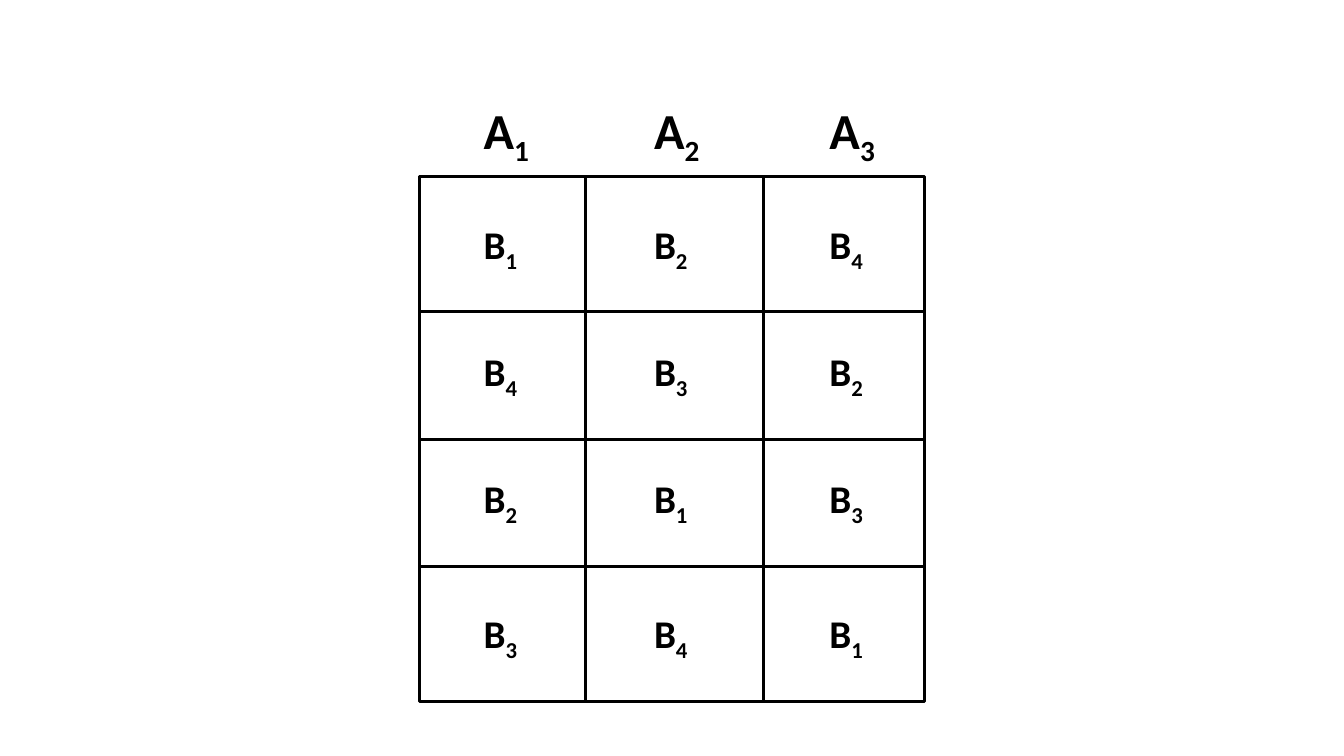
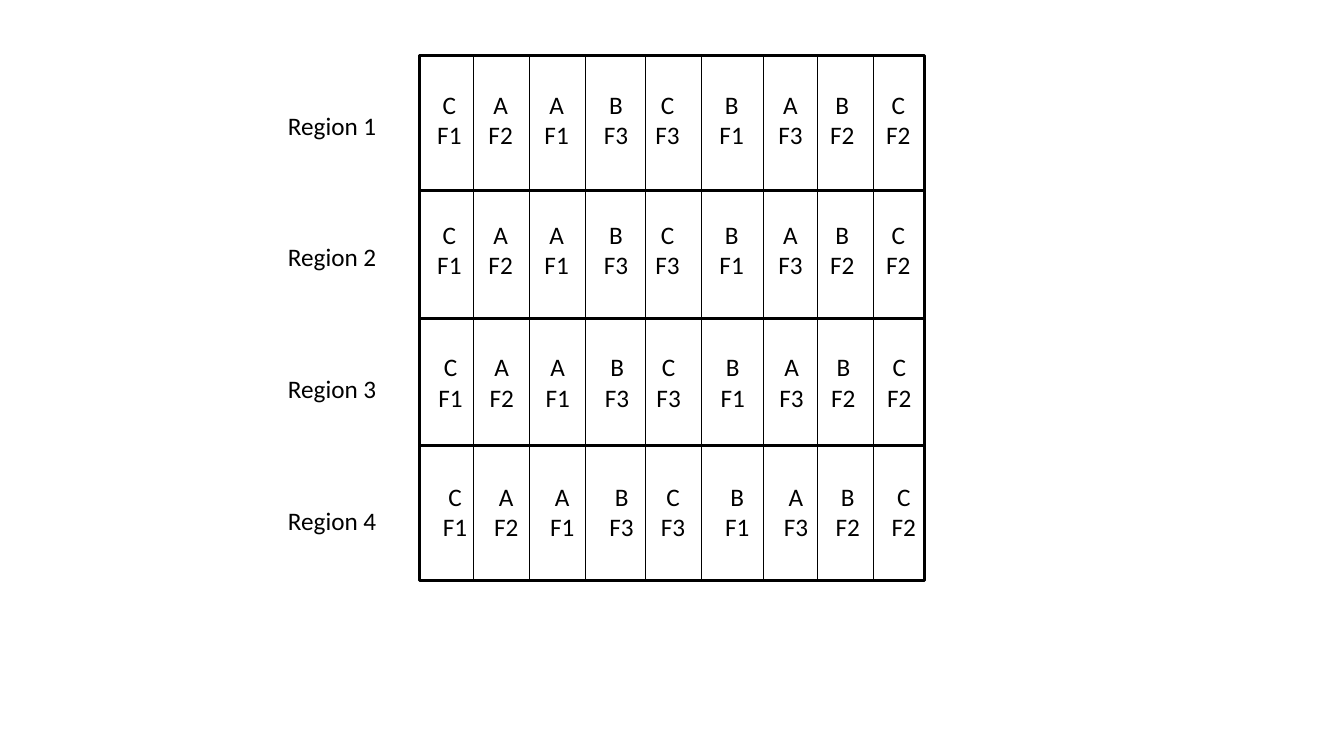
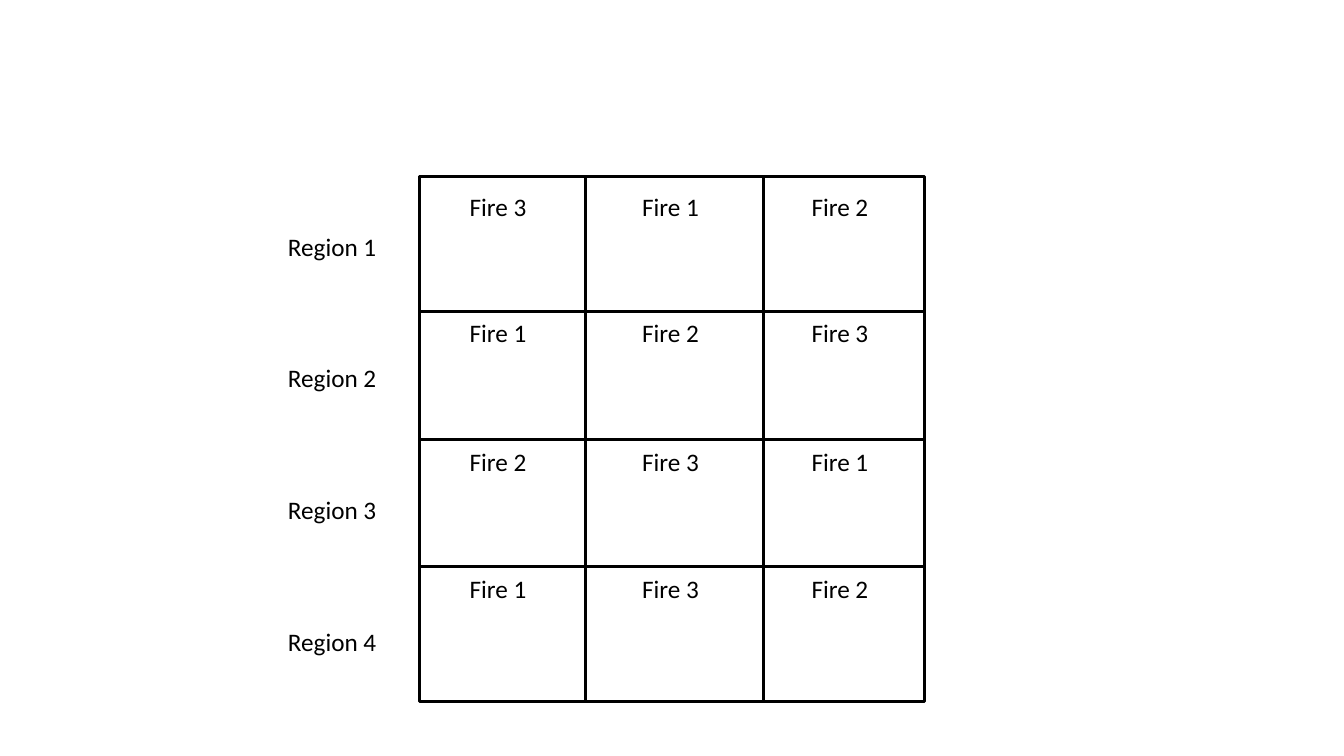
from dataclasses import dataclass
from itertools import product

from lxml.etree import SubElement
from pptx import Presentation
from pptx.dml.color import RGBColor
from pptx.enum.shapes import MSO_CONNECTOR, MSO_SHAPE
from pptx.enum.text import MSO_AUTO_SIZE, PP_ALIGN
from pptx.oxml.ns import qn
from pptx.slide import Slide
from pptx.text.text import _Run
from pptx.util import Pt

FONT = "Calibri"
BLACK = "000000"
THICK, THIN = 2.25, 0.75

GRID_LEFT, GRID_WIDTH, GRID_HEIGHT = 299.6, 361, 375.2
ROW_OFFSETS = (188, 278.9, 96.6)
MAIN_COLUMNS = (418.2, 545.6)
PLOT_COLUMNS = (338.2, 378.2, 418.2, 461.2, 501.2, 545.6, 583.6, 623.6)
LOW_TOP, HIGH_TOP = 126, 39.6

REGION_LEFT, REGION_OFFSET, REGION_STEP = 198.6, 35.4, 94.1


@dataclass(frozen=True)
class LabelStyle:
    """Box size and lettering shared by one kind of label."""

    width: float
    height: float
    size: float
    bold: bool = False
    subscript: bool = False
    centred: bool = False


HEADING = LabelStyle(47.5, 51, 36, bold=True, subscript=True)
TREATMENT = LabelStyle(39.6, 41.2, 28, bold=True, subscript=True)
REGION = LabelStyle(78.5, 29.1, 18)
FIRE = LabelStyle(55.4, 29.1, 18)
PLOT = LabelStyle(32.8, 50.9, 18, centred=True)


@dataclass(frozen=True)
class LabelGrid:
    """Labels by row, with the left and top edges of their boxes."""

    style: LabelStyle
    lefts: tuple[float, ...]
    tops: tuple[float, ...]
    rows: tuple[tuple[str, ...], ...]
    row_shifts: tuple[float, ...] = (0, 0, 0, 0)


HEADINGS = LabelGrid(HEADING, (338.4, 460.1, 585.4), (67,), (("A1", "A2", "A3"),))
TREATMENTS = LabelGrid(
    TREATMENT, HEADINGS.lefts, (154.1, 244.8, 335.5, 432),
    (("B1", "B2", "B4"), ("B4", "B3", "B2"), ("B2", "B1", "B3"), ("B3", "B4", "B1")),
)
PLOT_ROW = ("C\nF1", "A\nF2", "A\nF1", "B\nF3", "C\nF3", "B\nF1", "A\nF3", "B\nF2", "C\nF2")
PLOTS = LabelGrid(
    PLOT,
    (304.6, 341.2, 381.2, 423.6, 460.4, 506.2, 548.2, 585.2, 625.2),
    (60.2, 153.2, 247.7, 340.4),
    (PLOT_ROW,) * 4,
    row_shifts=(0, 0, 0.8, 4),
)
FIRES = LabelGrid(
    FIRE, (328.4, 451.6, 572.6), (133.2, 223, 315.2, 406.1),
    (("Fire 3", "Fire 1", "Fire 2"), ("Fire 1", "Fire 2", "Fire 3"),
     ("Fire 2", "Fire 3", "Fire 1"), ("Fire 1", "Fire 3", "Fire 2")),
)


def colour(value: str) -> RGBColor:
    """Turn a hex string into a colour."""
    return RGBColor.from_string(value)


def format_run(span: _Run, style: LabelStyle) -> None:
    """Apply the lettering of a label style to a run."""
    span.font.name = FONT
    span.font.size = Pt(style.size)
    span.font.bold = style.bold
    span.font.color.rgb = colour(BLACK)


def add_label(page: Slide, text: str, left: float, top: float, style: LabelStyle) -> None:
    """Add a text box; a subscript style lowers the last character."""
    box = page.shapes.add_textbox(Pt(left), Pt(top), Pt(style.width), Pt(style.height))
    frame = box.text_frame
    frame.word_wrap = False
    frame.auto_size = MSO_AUTO_SIZE.SHAPE_TO_FIT_TEXT
    frame.text = text[:-1] if style.subscript else text
    if style.subscript:
        index = frame.paragraphs[0].add_run()
        index.text = text[-1]
        index._r.get_or_add_rPr().set("baseline", "-25000")
    for para in frame.paragraphs:
        if style.centred:
            para.alignment = PP_ALIGN.CENTER
        for span in para.runs:
            format_run(span, style)


def add_labels(page: Slide, grid: LabelGrid) -> None:
    """Add every label of a grid."""
    for row, top, shift in zip(grid.rows, grid.tops, grid.row_shifts):
        for text, left in zip(row, grid.lefts):
            add_label(page, text, left + shift, top, grid.style)


def add_regions(page: Slide, grid_top: float) -> None:
    """Name the four regions to the left of the field."""
    for row in range(4):
        top = grid_top + REGION_OFFSET + row * REGION_STEP
        add_label(page, f"Region {row + 1}", REGION_LEFT, top, REGION)


def add_line(page: Slide, start: tuple[float, float], end: tuple[float, float],
             weight: float) -> None:
    """Draw a straight black line without a shadow."""
    line = page.shapes.add_connector(
        MSO_CONNECTOR.STRAIGHT, *(Pt(value) for value in start + end))
    line.line.color.rgb = colour(BLACK)
    line.line.width = Pt(weight)
    SubElement(line._element.spPr, qn("a:effectLst"))


def add_field(page: Slide, top: float, columns: tuple[float, ...], weight: float) -> None:
    """Draw the field outline with its row and column lines."""
    outline = page.shapes.add_shape(
        MSO_SHAPE.RECTANGLE, Pt(GRID_LEFT), Pt(top), Pt(GRID_WIDTH), Pt(GRID_HEIGHT))
    outline.shadow.inherit = False
    outline.fill.background()
    outline.line.color.rgb = colour(BLACK)
    outline.line.width = Pt(THICK)
    for offset in ROW_OFFSETS:
        add_line(page, (GRID_LEFT, top + offset),
                 (GRID_LEFT + GRID_WIDTH, top + offset), THICK)
    for left in columns:
        add_line(page, (left, top), (left, top + GRID_HEIGHT), weight)


def build_treatments(page: Slide) -> None:
    """Draw the columns A with their treatments B."""
    add_field(page, LOW_TOP, MAIN_COLUMNS, THICK)
    add_labels(page, TREATMENTS)
    add_labels(page, HEADINGS)


def build_plots(page: Slide) -> None:
    """Draw nine plots in each region."""
    add_field(page, HIGH_TOP, PLOT_COLUMNS, THIN)
    add_regions(page, HIGH_TOP)
    add_labels(page, PLOTS)


def build_fires(page: Slide) -> None:
    """Draw three fires in each region."""
    add_field(page, LOW_TOP, MAIN_COLUMNS, THICK)
    add_labels(page, FIRES)
    add_regions(page, LOW_TOP)


def main() -> None:
    """Build and save the deck."""
    deck = Presentation()
    deck.slide_width, deck.slide_height = Pt(960), Pt(540)
    for build in (build_treatments, build_plots, build_fires):
        build(deck.slides.add_slide(deck.slide_layouts[6]))
    deck.save("out.pptx")


main()
